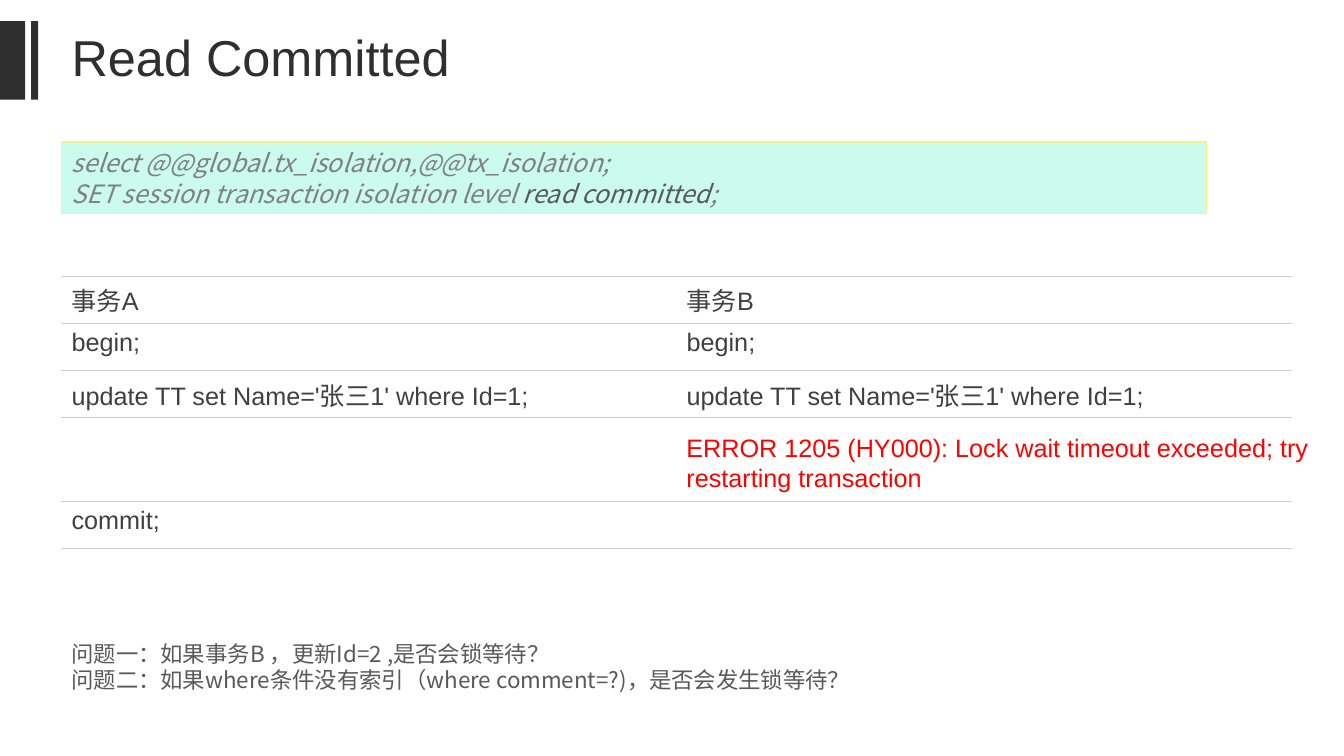
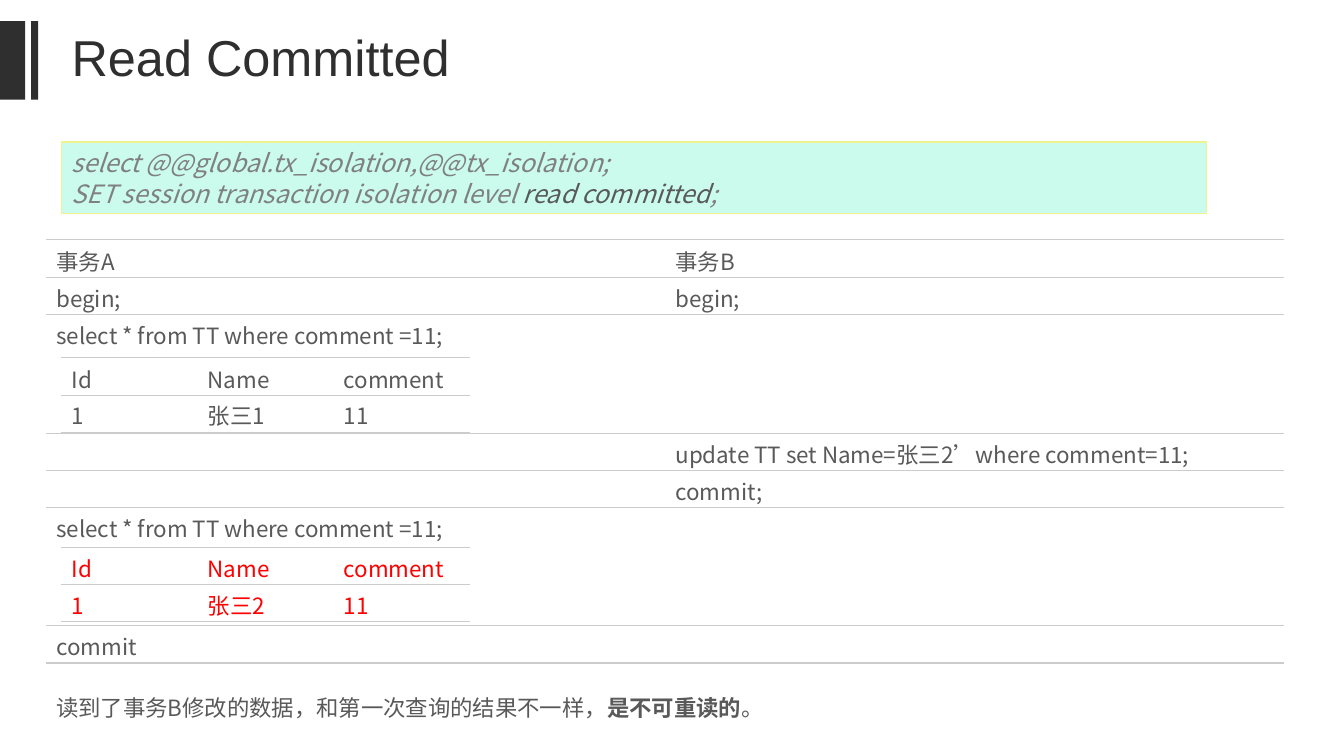
from pptx import Presentation
from pptx.dml.color import RGBColor
from pptx.enum.shapes import MSO_SHAPE
from pptx.enum.text import MSO_ANCHOR, PP_ALIGN
from pptx.oxml import parse_xml
from pptx.oxml.ns import nsdecls, qn
from pptx.util import Pt

RECT = MSO_SHAPE.RECTANGLE
TOP, MID = MSO_ANCHOR.TOP, MSO_ANCHOR.MIDDLE
LEFT = PP_ALIGN.LEFT
PX = 9144
SANS, CJK = "Arial", "Noto Sans CJK SC"
INK = {
    "dark": "2F2F2F", "text": "404040", "body": "595959", "code": "808080",
    "red": "FF0000", "mint": "CAFBED", "edge": "EEF390", "rule": "CCCCCC",
}


def rgb(name):
    return RGBColor.from_string(INK[name])


def px(*nums):
    return [num * PX for num in nums]


def add_run(para, text, size, color, font=CJK, bold=False, slant=False):
    run = para.add_run()
    run.text = text
    face = run.font
    face.size, face.name = Pt(size), font
    face.bold, face.italic = bold, slant
    face.color.rgb = rgb(color)
    latin = run._r.rPr.find(qn("a:latin"))
    latin.addnext(parse_xml(f'<a:ea {nsdecls("a")} typeface="{CJK}"/>'))


def add_lines(frame, lines, size, font=CJK, pitch=None, slant=False):
    frame.word_wrap = True
    frame.vertical_anchor = TOP
    for i, line in enumerate(lines):
        para = frame.paragraphs[0] if i == 0 else frame.add_paragraph()
        para.alignment = LEFT
        if pitch:
            para.line_spacing = Pt(pitch)
        for text, color, bold in line:
            add_run(para, text, size, color, font, bold, slant)


def add_rect(slide, box, fill, line=None):
    shape = slide.shapes.add_shape(RECT, *px(*box))
    shape.shadow.inherit = False
    shape.fill.solid()
    shape.fill.fore_color.rgb = rgb(fill)
    if line:
        shape.line.color.rgb = rgb(line)
        shape.line.width = Pt(1)
    else:
        shape.line.fill.background()
    return shape


def add_note(slide, box, lines, size, font=CJK, pitch=None):
    note = slide.shapes.add_textbox(*px(*box))
    add_lines(note.text_frame, lines, size, font, pitch)


def set_rules(cell):
    cell.fill.background()
    props = cell._tc.get_or_add_tcPr()
    rule = f'<a:solidFill><a:srgbClr val="{INK["rule"]}"/></a:solidFill>'
    sides = {"L": "<a:noFill/>", "R": "<a:noFill/>", "T": rule, "B": rule}
    for i, (side, paint) in enumerate(sides.items()):
        tag = f"a:ln{side}"
        props.insert(i, parse_xml(f'<{tag} {nsdecls("a")} w="12700">{paint}</{tag}>'))


def add_grid(slide, left, top, width, heights, rows, color,
             size=16, font=CJK, pads=(4, 0)):
    cols = len(rows[0])
    frame = slide.shapes.add_table(
        len(rows), cols, *px(left, top, width * cols, sum(heights)))
    table = frame.table
    table.first_row = table.horz_banding = False
    for col in table.columns:
        col.width = width * PX
    for i, (row, high) in enumerate(zip(rows, heights)):
        table.rows[i].height = high * PX
        for j, text in enumerate(row):
            cell = table.cell(i, j)
            cell.margin_top, cell.margin_bottom = px(*pads)
            cell.vertical_anchor = MID if i == 0 else TOP
            set_rules(cell)
            if text:
                add_run(cell.text_frame.paragraphs[0], text, size, color, font)


def set_base(layout, slide):
    for left, width in ((0, 25), (31, 7)):
        bar = add_rect(slide, (left, 21, width, 78), "dark")
        layout.shapes._spTree.append(bar._element)
    title = layout.placeholders[0]
    title.left, title.top, title.width, title.height = px(61, 21, 744, 78)


def add_head(slide):
    frame = slide.shapes.title.text_frame
    frame.vertical_anchor = MID
    para = frame.paragraphs[0]
    para.alignment, para.line_spacing = LEFT, 0.9
    add_run(para, "Read Committed", 36, "dark", SANS)
    panel = add_rect(slide, (61, 141, 1136, 71), "mint", "edge")
    add_lines(panel.text_frame, [
        [("select @@global.tx_isolation,@@tx_isolation;", "code", False)],
        [("SET session transaction isolation level ", "code", False),
         ("read committed", "body", False), (";", "code", False)],
    ], 18, pitch=22, slant=True)


def fill_lock(slide):
    change = "update TT set Name='张三1' where Id=1;"
    add_grid(slide, 61, 274, 610, (47, 47, 46, 83, 47), [
        ("事务A", "事务B"), ("begin;", "begin;"), (change, change),
        ("", ""), ("commit;", ""),
    ], "text", 18, SANS, (5, 5))
    add_note(slide, (671, 424, 667, 71), [[(
        "ERROR 1205 (HY000): Lock wait timeout exceeded; "
        "try restarting transaction", "red", False)]], 18, SANS)
    add_note(slide, (61, 630, 920, 64), [
        [("问题一：如果事务B ，更新Id=2 ,是否会锁等待？", "body", False)],
        [("问题二：如果where条件没有索引（where comment=?)，是否会发生锁等待？",
          "body", False)],
    ], 16, pitch=19)


def fill_read(slide):
    query = "select * from TT where comment =11;"
    add_grid(slide, 46, 238, 614, (37, 37, 118, 37, 37, 117, 37), [
        ("事务A", "事务B"), ("begin;", "begin;"), (query, ""),
        ("", "update TT set Name=张三2’where comment=11;"),
        ("", "commit;"), (query, ""), ("commit", ""),
    ], "body")
    for top, name, color in ((355, "张三1", "body"), (543, "张三2", "red")):
        add_grid(slide, 61, top, 135, (37, 37), [
            ("Id", "Name", "comment"), ("1", name, "11")], color)
    add_note(slide, (46, 684, 760, 37), [[
        ("读到了事务B修改的数据，和第一次查询的结果不一样，", "body", False),
        ("是不可重读的", "body", True), ("。", "body", False)]], 16, pitch=19)


def main():
    deck = Presentation()
    deck.slide_width, deck.slide_height = px(1333, 750)
    layout = deck.slide_layouts[5]
    for i, fill in enumerate((fill_lock, fill_read)):
        slide = deck.slides.add_slide(layout)
        if i == 0:
            set_base(layout, slide)
        add_head(slide)
        fill(slide)
    deck.save("out.pptx")


if __name__ == "__main__":
    main()
